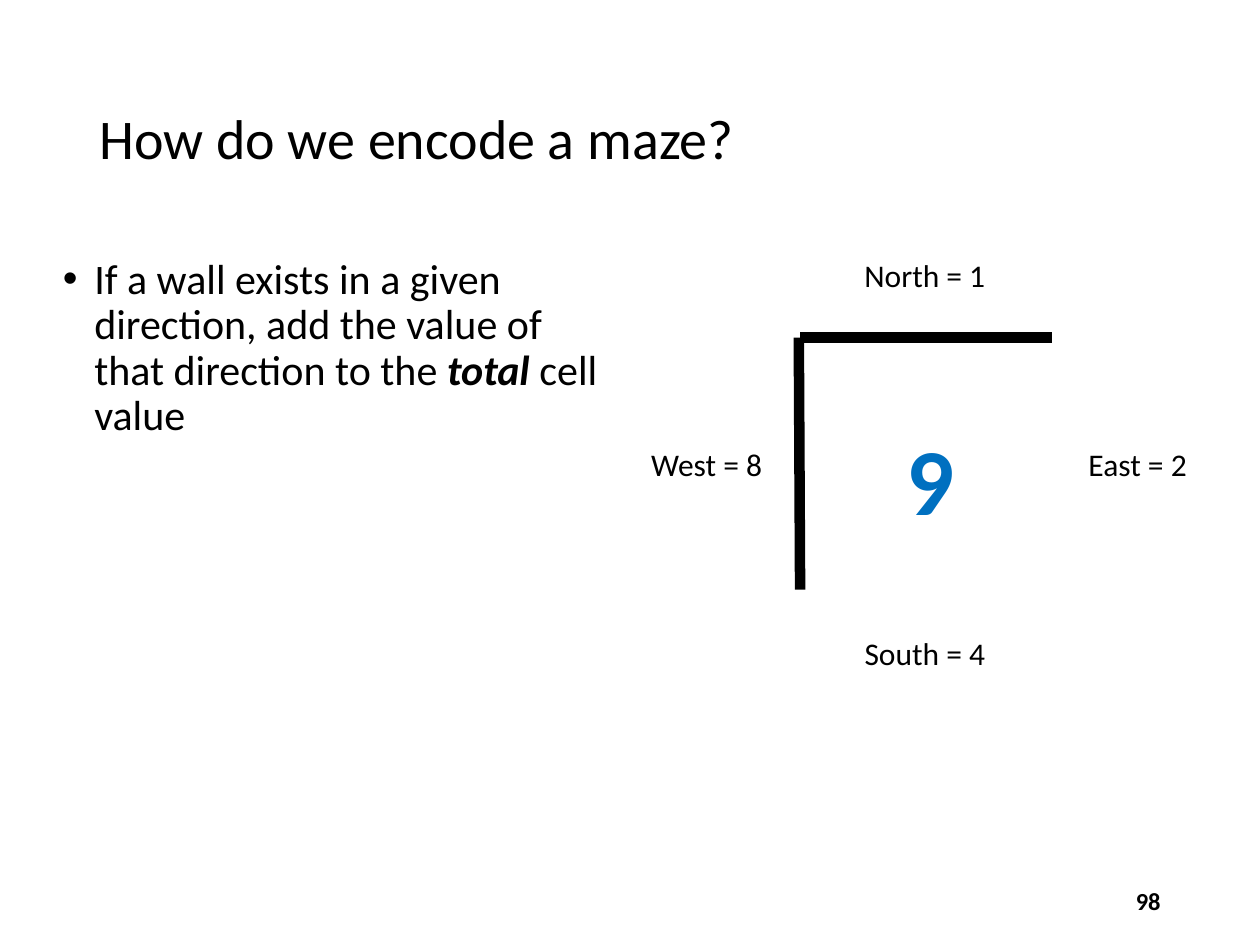
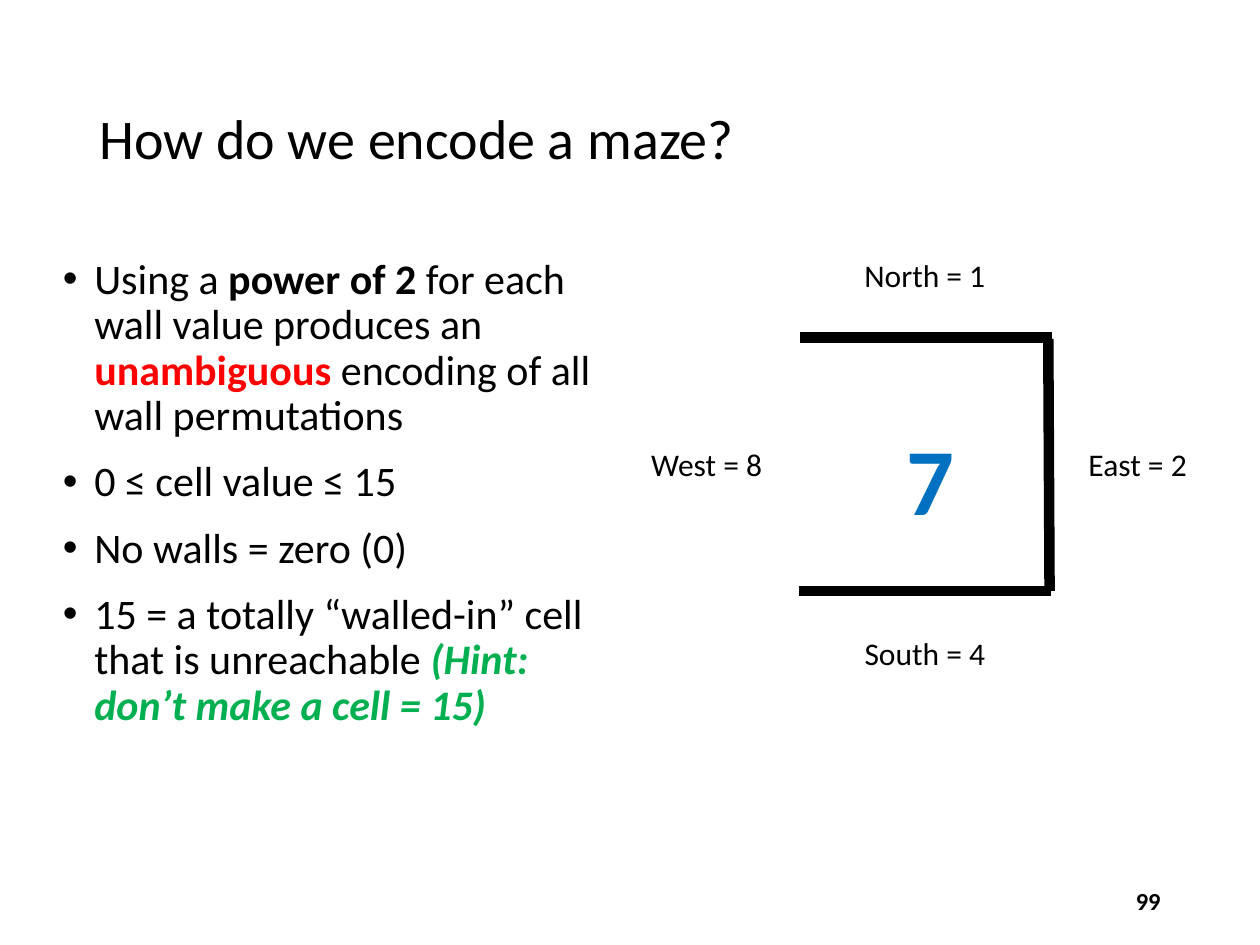
from lxml.etree import SubElement
from pptx import Presentation
from pptx.dml.color import RGBColor
from pptx.enum.shapes import MSO_CONNECTOR as CONN
from pptx.enum.text import MSO_ANCHOR as ANCHOR, PP_ALIGN as ALIGN
from pptx.oxml.ns import qn
from pptx.util import Emu, Pt

# Shared style: 100 px to the inch
PX = 9144
FONT = "Calibri"
COLORS = {"ink": "000000", "value": "0070C0", "alert": "FF0000", "hint": "00B050"}

TITLE = "How do we encode a maze?"
LABELS = [
    ("East = 2", 854, 348, ALIGN.LEFT),
    ("West = 8", 507, 348, ALIGN.LEFT),
    ("North = 1", 670, 198, ALIGN.CENTER),
    ("South = 4", 670, 498, ALIGN.CENTER),
]

# Wall ends for each direction: x1, y1, x2, y2
WALLS = {
    "north": (635, 268, 835, 268),
    "east": (832, 269, 833, 469),
    "south": (634, 469, 834, 469),
    "west": (634, 268, 635, 468),
}


def px(n):
    return Emu(n * PX)


def add_run(p, text, size=18, color="ink", bold=False, italic=False):
    r = p.add_run()
    r.text = text
    f = r.font
    f.name, f.size, f.bold, f.italic = FONT, Pt(size), bold, italic
    f.color.rgb = RGBColor.from_string(COLORS[color])


def add_box(s, x, y, w, h, anchor=ANCHOR.TOP):
    tf = s.shapes.add_textbox(px(x), px(y), px(w), px(h)).text_frame
    tf.word_wrap = True
    tf.vertical_anchor = anchor
    return tf


def add_text(s, text, box, align=ALIGN.LEFT, anchor=ANCHOR.TOP, spacing=None, **fmt):
    p = add_box(s, *box, anchor=anchor).paragraphs[0]
    p.alignment = align
    p.line_spacing = spacing
    add_run(p, text, **fmt)


def add_bullets(s, items):
    """Each item is a list of (text, format) runs."""
    tf = add_box(s, 40, 200, 459, 476)
    for i, runs in enumerate(items):
        p = tf.add_paragraph() if i else tf.paragraphs[0]
        pPr = p._p.get_or_add_pPr()
        pPr.set("marL", str(px(25)))
        pPr.set("indent", str(px(-25)))
        SubElement(pPr, qn("a:buFont"), typeface="Arial")
        SubElement(pPr, qn("a:buChar"), char="•")
        p.line_spacing = 0.9
        p.space_after = Pt(12)
        for text, fmt in runs:
            add_run(p, text, size=24, **fmt)


def add_wall(s, x1, y1, x2, y2):
    wall = s.shapes.add_connector(CONN.STRAIGHT, px(x1), px(y1), px(x2), px(y2))
    wall.line.width = Pt(6)
    wall.line.color.rgb = RGBColor.from_string(COLORS["ink"])
    SubElement(wall._element.spPr, qn("a:effectLst"))


def add_cell(s, value, walls):
    for text, x, y, align in LABELS:
        add_text(s, text, (x, y, 128, 40), align=align)
    for name in walls:
        add_wall(s, *WALLS[name])
    add_text(s, value, (679, 329, 119, 101), align=ALIGN.CENTER,
             size=54, color="value", bold=True)


def add_maze_slide(prs, number, bullets, value, walls):
    s = prs.slides.add_slide(prs.slide_layouts[6])
    add_text(s, TITLE, (69, 40, 862, 145), anchor=ANCHOR.MIDDLE, spacing=0.9, size=32)
    add_bullets(s, bullets)
    add_cell(s, value, walls)
    add_text(s, number, (706, 695, 225, 40), align=ALIGN.RIGHT,
             anchor=ANCHOR.MIDDLE, size=14, bold=True)


def main():
    prs = Presentation()
    prs.slide_width, prs.slide_height = px(1000), px(750)

    # Adding up the walls of a cell
    add_maze_slide(prs, "98", [
        [("If a wall exists in a given direction, add the value of that "
          "direction to the ", {}),
         ("total", {"bold": True, "italic": True}),
         (" cell value", {})],
    ], "9", ["north", "west"])

    # Why powers of 2 work
    add_maze_slide(prs, "99", [
        [("Using a ", {}),
         ("power of 2 ", {"bold": True}),
         ("for each wall value produces an ", {}),
         ("unambiguous", {"bold": True, "color": "alert"}),
         (" encoding of all wall permutations", {})],
        [("0 ≤ cell value ≤ 15", {})],
        [("No walls = zero (0)", {})],
        [("15 = a totally “walled-in” cell that is unreachable ", {}),
         ("(Hint: don’t make a cell = 15)",
          {"bold": True, "italic": True, "color": "hint"})],
    ], "7", ["north", "east", "south"])

    prs.save("out.pptx")


if __name__ == "__main__":
    main()
